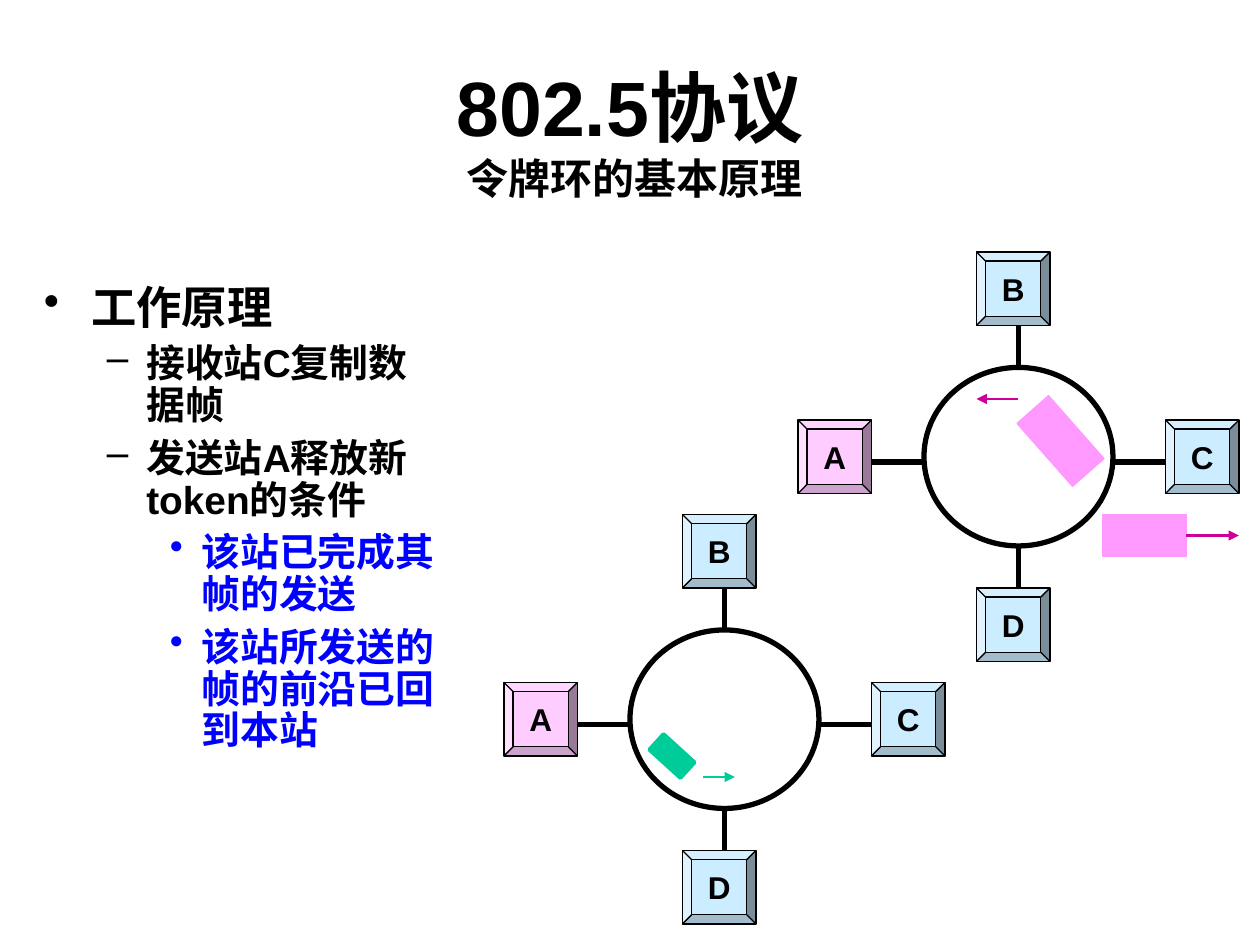
"""Build a slide on the working principle of the 802.5 token ring."""
import pptx
import pptx.util
import pptx.dml.color
import pptx.enum.shapes
import pptx.enum.text
import pptx.oxml
import pptx.oxml.ns
from lxml import etree

Pt = pptx.util.Pt
SHAPES = pptx.enum.shapes.MSO_SHAPE
ALIGN = pptx.enum.text.PP_ALIGN
ANCHOR = pptx.enum.text.MSO_ANCHOR

THEME = {
    "ink": "000000", "emphasis": "0000FF", "station": "CCECFF", "sender": "FFCCFF",
    "frame": "FF99FF", "frame_arrow": "CC0099", "token": "00CC99",
    "title": 44, "subtitle": 24, "heading": 25.9, "body": 22.2, "label": 18,
    "sans": "Arial", "serif": "Times New Roman",
}
TITLE = ("802.5协议", " 令牌环的基本原理")
TITLE_BOX = (54, 30, 612, 90)
BODY_BOX = (18, 156, 240, 348)
BULLETS = [
    (0, "工作原理"),
    (1, "接收站C复制数据帧"),
    (1, "发送站A释放新token的条件"),
    (2, "该站已完成其帧的发送"),
    (2, "该站所发送的帧的前沿已回到本站"),
]
# level: (bullet, margin, hanging, line spacing, size, font, colour)
LEVELS = [
    ("•", 27, 27, 1.0, "heading", "serif", "ink"),
    ("–", 58.5, 22.5, 0.9, "body", "sans", "ink"),
    ("•", 90, 18, 0.9, "body", "sans", "emphasis"),
]
RING_SIZE = (108, 102)
STATION_SIZE = 42
# station: (name, fill, box offset, wire start, wire end), all from the ring corner
STATIONS = [
    ("B", "station", (30, -66), (54, -24), (54, 0)),
    ("C", "station", (138, 30), (144, 54), (108, 54)),
    ("D", "station", (30, 126), (54, 102), (54, 126)),
    ("A", "sender", (-72, 30), (0, 54), (-36, 54)),
]
# packet: (box, rotation, colour, outline, arrow colour, arrow start, arrow end)
RINGS = [
    ((528, 210), [
        ((630, 294, 48, 24), 0, "frame", 0.75, "frame_arrow", (678, 306), (708, 306)),
        ((582, 240, 48, 24), 228.6, "frame", 0.75, "frame_arrow", (582, 228), (558, 228)),
    ]),
    ((360, 360), [
        ((372, 426, 24, 12), 222.3, "token", 2.25, "token", (402, 444), (420, 444)),
    ]),
]


def color(name):
    return pptx.dml.color.RGBColor.from_string(THEME[name])


def format_run(run, size, font="sans", ink="ink"):
    run.font.size = Pt(THEME[size])
    run.font.name = THEME[font]
    run.font.bold = True
    run.font.color.rgb = color(ink)


def add_text_box(slide, box):
    text_frame = slide.shapes.add_textbox(*map(Pt, box)).text_frame
    text_frame.word_wrap = True
    return text_frame


def add_title(slide):
    text_frame = add_text_box(slide, TITLE_BOX)
    text_frame.vertical_anchor = ANCHOR.MIDDLE
    paragraph = text_frame.paragraphs[0]
    paragraph.text = "\v".join(TITLE)
    paragraph.alignment = ALIGN.CENTER
    for run, size in zip(paragraph.runs, ("title", "subtitle")):
        format_run(run, size)


def add_bullets(slide):
    text_frame = add_text_box(slide, BODY_BOX)
    text_frame.text = "\n".join(text for _, text in BULLETS)
    for index, (level, _) in enumerate(BULLETS):
        bullet, margin, hanging, spacing, size, font, ink = LEVELS[level]
        paragraph = text_frame.paragraphs[index]
        paragraph.level = level
        properties = paragraph._p.get_or_add_pPr()
        properties.set("marL", str(Pt(margin)))
        properties.set("indent", str(-Pt(hanging)))
        bullet_color = etree.SubElement(properties, pptx.oxml.ns.qn("a:buClr"))
        etree.SubElement(bullet_color, pptx.oxml.ns.qn("a:srgbClr"), val=THEME[ink])
        etree.SubElement(properties, pptx.oxml.ns.qn("a:buChar"), char=bullet)
        paragraph.line_spacing = spacing
        paragraph.space_before = Pt(6 if index else 0)
        format_run(paragraph.runs[0], size, font, ink)


def add_shape(slide, kind, box, fill, outline, weight):
    shape = slide.shapes.add_shape(kind, *map(Pt, box))
    shape.shadow.inherit = False
    if fill:
        shape.fill.solid()
        shape.fill.fore_color.rgb = color(fill)
    else:
        shape.fill.background()
    shape.line.color.rgb = color(outline)
    shape.line.width = Pt(weight)
    return shape


def add_line(slide, start, end, ink, weight, arrow=False):
    line = slide.shapes.add_connector(
        pptx.enum.shapes.MSO_CONNECTOR.STRAIGHT, *map(Pt, (*start, *end)))
    line.line.color.rgb = color(ink)
    line.line.width = Pt(weight)
    if arrow:
        etree.SubElement(line.line._get_or_add_ln(), pptx.oxml.ns.qn("a:tailEnd"), type="triangle")
    etree.SubElement(line._element.spPr, pptx.oxml.ns.qn("a:effectLst"))
    return line


def add_packet(slide, box, rotation, fill, outline, arrow_color, start, end):
    packet = add_shape(slide, SHAPES.RECTANGLE, box, fill, fill, outline)
    packet.rotation = rotation
    arrow = add_line(slide, start, end, arrow_color, 1.5, arrow=True)
    left, top, width, height = box
    if not rotation and start == (left + width, top + height / 2):
        arrow.begin_connect(packet, 3)


def add_ring(slide, corner):
    def place(offset):
        return corner[0] + offset[0], corner[1] + offset[1]

    add_shape(slide, SHAPES.OVAL, (*corner, *RING_SIZE), None, "ink", 3)
    for name, fill, offset, start, end in STATIONS:
        add_line(slide, place(start), place(end), "ink", 3)
        box = (*place(offset), STATION_SIZE, STATION_SIZE)
        station = add_shape(slide, SHAPES.BEVEL, box, fill, "ink", 0.75)
        text_frame = station.text_frame
        text_frame.text = name
        text_frame.word_wrap = False
        text_frame.vertical_anchor = ANCHOR.MIDDLE
        paragraph = text_frame.paragraphs[0]
        paragraph.alignment = ALIGN.CENTER
        format_run(paragraph.runs[0], "label")


def main():
    presentation = pptx.Presentation()
    presentation.slide_width, presentation.slide_height = Pt(720), Pt(540)
    slide = presentation.slides.add_slide(presentation.slide_layouts[6])
    add_title(slide)
    add_bullets(slide)
    for corner, packets in RINGS:
        for packet in packets:
            add_packet(slide, *packet)
        add_ring(slide, corner)
    presentation.save("out.pptx")


if __name__ == "__main__":
    main()
